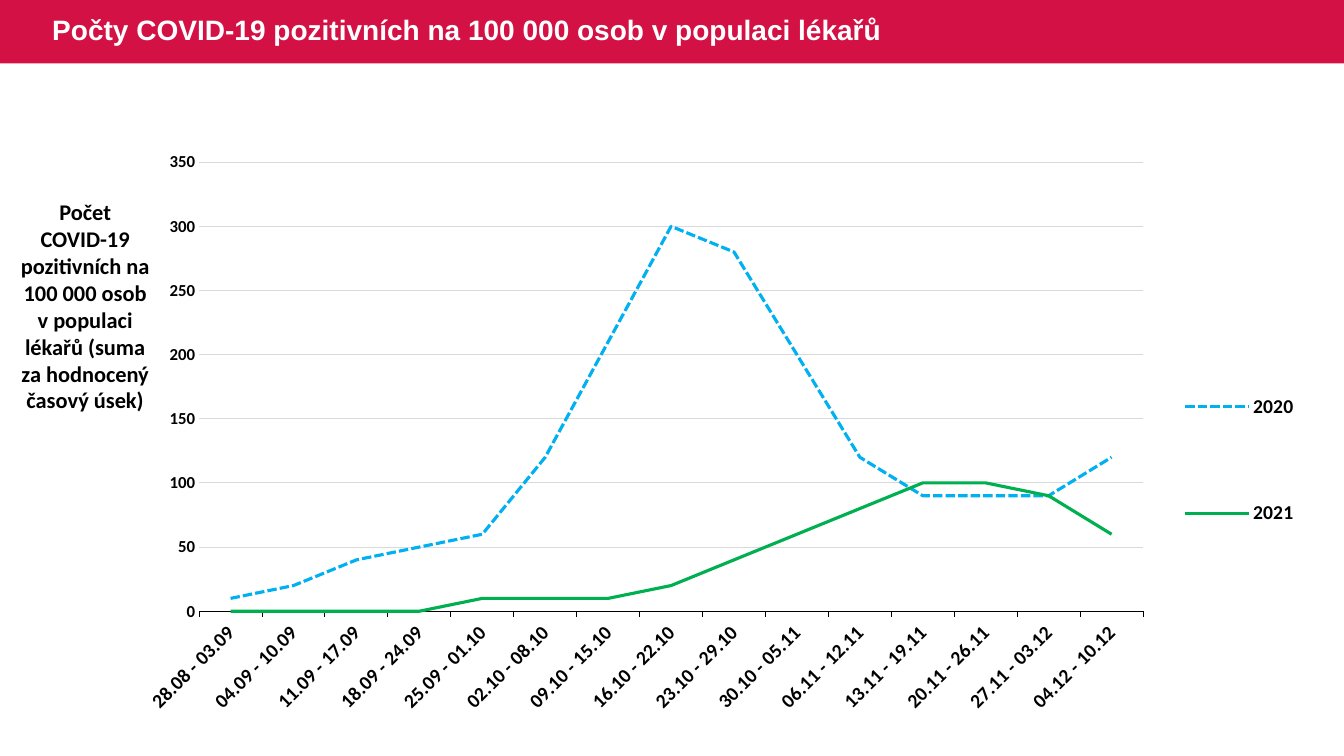
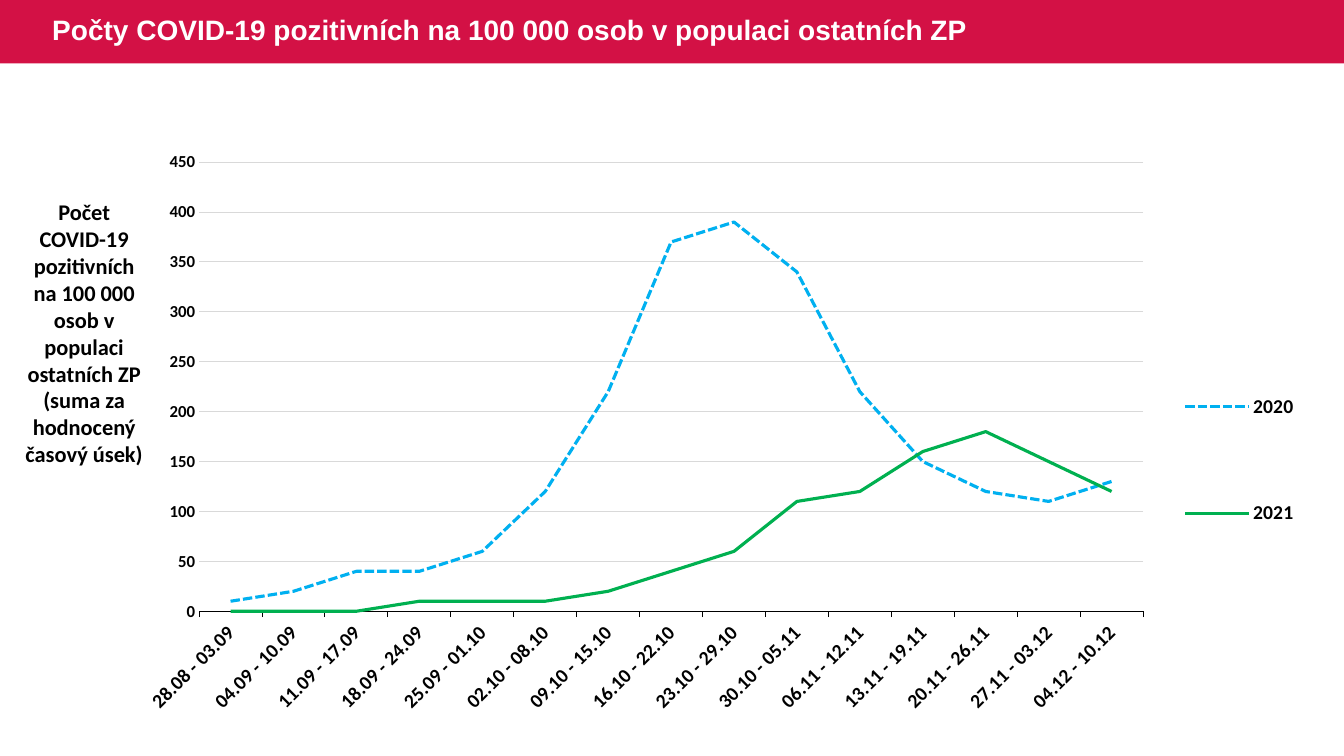
from lxml import etree
from pptx import Presentation
from pptx.chart.data import CategoryChartData
from pptx.dml.color import RGBColor
from pptx.enum.chart import XL_CHART_TYPE, XL_LEGEND_POSITION, XL_TICK_MARK
from pptx.enum.dml import MSO_LINE
from pptx.enum.shapes import MSO_SHAPE
from pptx.enum.text import MSO_ANCHOR, PP_ALIGN
from pptx.oxml.ns import qn
from pptx.util import Inches, Pt

LINE_CHART = XL_CHART_TYPE.LINE
LEGEND_RIGHT = XL_LEGEND_POSITION.RIGHT
TICK_NONE, TICK_OUTSIDE = XL_TICK_MARK.NONE, XL_TICK_MARK.OUTSIDE
SOLID, DASHED = MSO_LINE.SOLID, MSO_LINE.SQUARE_DOT
RECTANGLE = MSO_SHAPE.RECTANGLE
TOP, MIDDLE = MSO_ANCHOR.TOP, MSO_ANCHOR.MIDDLE
LEFT, CENTER = PP_ALIGN.LEFT, PP_ALIGN.CENTER

COLORS = {
    "band": "D31145",
    "title": "FFFFFF",
    "text": "000000",
    "grid": "D9D9D9",
    "2020": "00B0F0",
    "2021": "00B050",
}
DASHES = {"2020": DASHED, "2021": SOLID}
WIDTH, HEIGHT, BAND_HEIGHT = 13.33, 7.5, 0.63

WEEKS = [
    "28.08 - 03.09", "04.09 - 10.09", "11.09 - 17.09", "18.09 - 24.09", "25.09 - 01.10",
    "02.10 - 08.10", "09.10 - 15.10", "16.10 - 22.10", "23.10 - 29.10", "30.10 - 05.11",
    "06.11 - 12.11", "13.11 - 19.11", "20.11 - 26.11", "27.11 - 03.12", "04.12 - 10.12",
]

# Per slide: population, place of the axis caption, axis maximum, weekly values
SLIDES = [
    ("lékařů", (0.06, 1.92, 1.57, 2.26), 350, {
        "2020": [10, 20, 40, 50, 60, 120, 210, 300, 280, 200, 120, 90, 90, 90, 120],
        "2021": [0, 0, 0, 0, 10, 10, 10, 20, 40, 60, 80, 100, 100, 90, 60],
    }),
    ("ostatních ZP", (0.15, 1.92, 1.37, 2.79), 450, {
        "2020": [10, 20, 40, 40, 60, 120, 220, 370, 390, 340, 220, 150, 120, 110, 130],
        "2021": [0, 0, 0, 10, 10, 10, 20, 40, 60, 110, 120, 160, 180, 150, 120],
    }),
]


def color(name):
    return RGBColor.from_string(COLORS[name])


def set_font(font, size, color_name="text", name="Calibri"):
    font.name, font.size, font.bold = name, Pt(size), True
    font.color.rgb = color(color_name)


def set_line(line, color_name, width):
    line.color.rgb = color(color_name)
    line.width = Pt(width)


def set_layout(parent, index, place, inner=False):
    """Fix the place of a chart part, in fractions of the chart."""
    for old in parent.findall(qn("c:layout")):
        parent.remove(old)
    layout = etree.Element(qn("c:layout"))
    manual = etree.SubElement(layout, qn("c:manualLayout"))
    settings = [("layoutTarget", "inner")] if inner else []
    settings += [("xMode", "edge"), ("yMode", "edge"), *zip("xywh", place)]
    for tag, value in settings:
        etree.SubElement(manual, qn(f"c:{tag}")).set("val", str(value))
    parent.insert(index, layout)


class Slides:
    """Shared style and the current page."""

    def __init__(self):
        self.deck = Presentation()
        self.deck.slide_width, self.deck.slide_height = Inches(WIDTH), Inches(HEIGHT)
        self.page = None

    def add_page(self, title):
        self.page = self.deck.slides.add_slide(self.deck.slide_layouts[6])
        band = self.page.shapes.add_shape(RECTANGLE, 0, 0, Inches(WIDTH), Inches(BAND_HEIGHT))
        band.shadow.inherit = False
        band.fill.solid()
        band.fill.fore_color.rgb = color("band")
        band.line.fill.background()
        paragraph = self.add_text(title, (0.42, 0, 9.46, BAND_HEIGHT), LEFT, MIDDLE)
        paragraph.line_spacing = 0.9
        set_font(paragraph.font, 20, "title", "Arial")

    def add_text(self, text, place, align, anchor):
        box = self.page.shapes.add_textbox(*map(Inches, place))
        frame = box.text_frame
        frame.word_wrap = True
        frame.vertical_anchor = anchor
        paragraph = frame.paragraphs[0]
        paragraph.text = text
        paragraph.alignment = align
        return paragraph

    def add_caption(self, text, place):
        set_font(self.add_text(text, place, CENTER, TOP).font, 16)

    def add_line_chart(self, values, maximum):
        data = CategoryChartData(number_format="0")
        data.categories = WEEKS
        for year, numbers in values.items():
            data.add_series(year, numbers)
        place = map(Inches, (1.45, 1.51, 11.66, 5.87))
        chart = self.page.shapes.add_chart(LINE_CHART, *place, data).chart
        chart.has_title = False
        set_font(chart.font, 14)
        chart.plots[0].vary_by_categories = False
        for series in chart.plots[0].series:
            series.smooth = False
            set_line(series.format.line, series.name, 2.25)
            series.format.line.dash_style = DASHES[series.name]

        # Axes
        weeks = chart.category_axis
        weeks.major_tick_mark = TICK_OUTSIDE
        set_line(weeks.format.line, "text", 0.75)
        set_font(weeks.tick_labels.font, 14)
        weeks._element.xpath("c:txPr/a:bodyPr")[0].set("rot", "-2700000")
        counts = chart.value_axis
        counts.minimum_scale, counts.maximum_scale, counts.major_unit = 0, maximum, 50
        counts.major_tick_mark = TICK_NONE
        counts.format.line.fill.background()
        set_line(counts.major_gridlines.format.line, "grid", 0.75)
        set_font(counts.tick_labels.font, 12)

        # Legend and plot area
        chart.has_legend = True
        chart.legend.position = LEGEND_RIGHT
        chart.legend.include_in_layout = False
        set_font(chart.legend.font, 14)
        set_layout(chart.legend._element, 1, (0.87, 0.27, 0.12, 0.5))
        plot_area = chart._chartSpace.xpath("c:chart/c:plotArea")[0]
        set_layout(plot_area, 0, (0.045, 0.017, 0.803, 0.759), inner=True)


def main():
    slides = Slides()
    for population, caption_place, maximum, values in SLIDES:
        slides.add_page(f"Počty COVID-19 pozitivních na 100 000 osob v populaci {population}")
        slides.add_line_chart(values, maximum)
        slides.add_caption(
            f"Počet COVID-19 pozitivních na 100 000 osob v populaci {population} "
            "(suma za hodnocený časový úsek)", caption_place)
    slides.deck.save("out.pptx")


if __name__ == "__main__":
    main()
